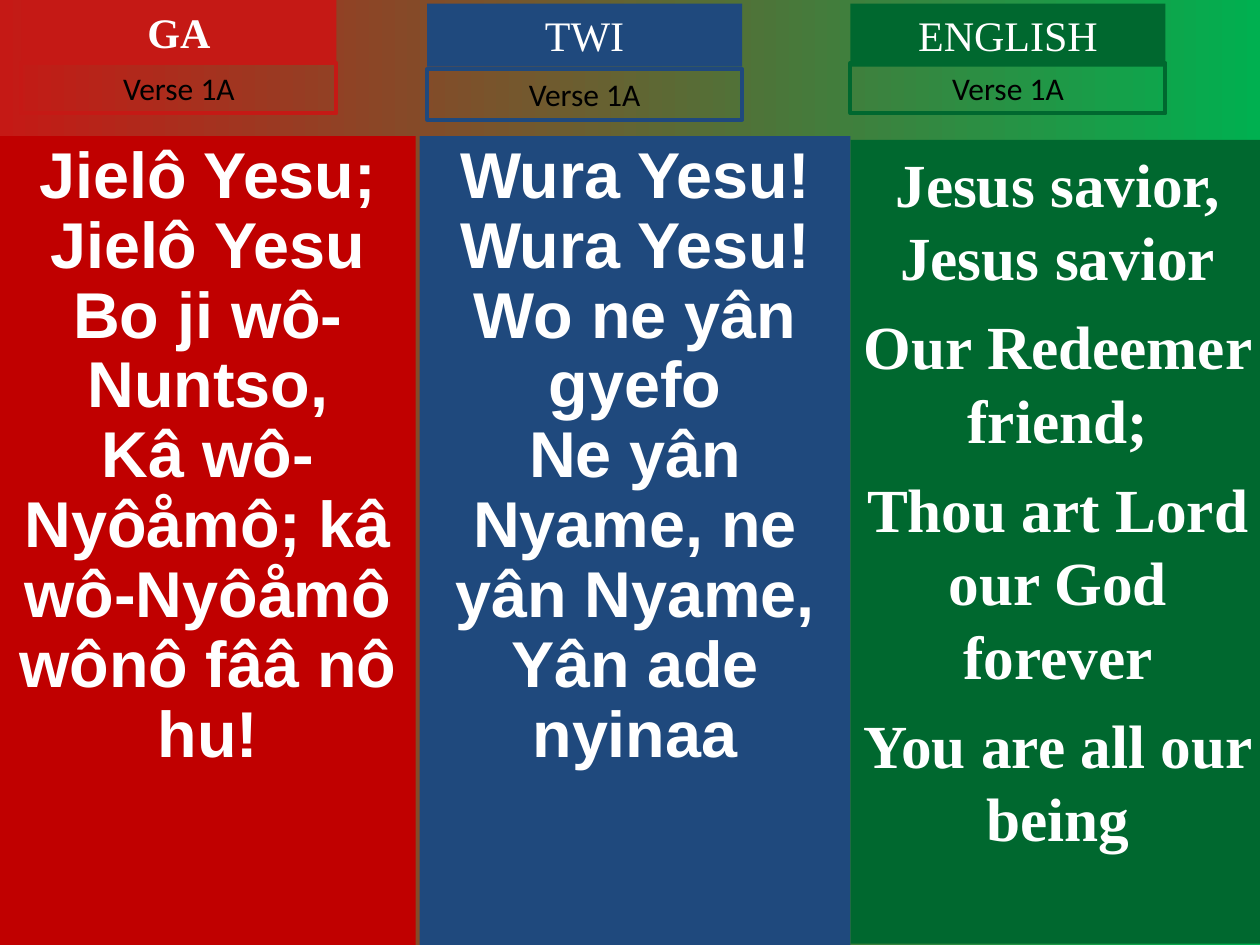
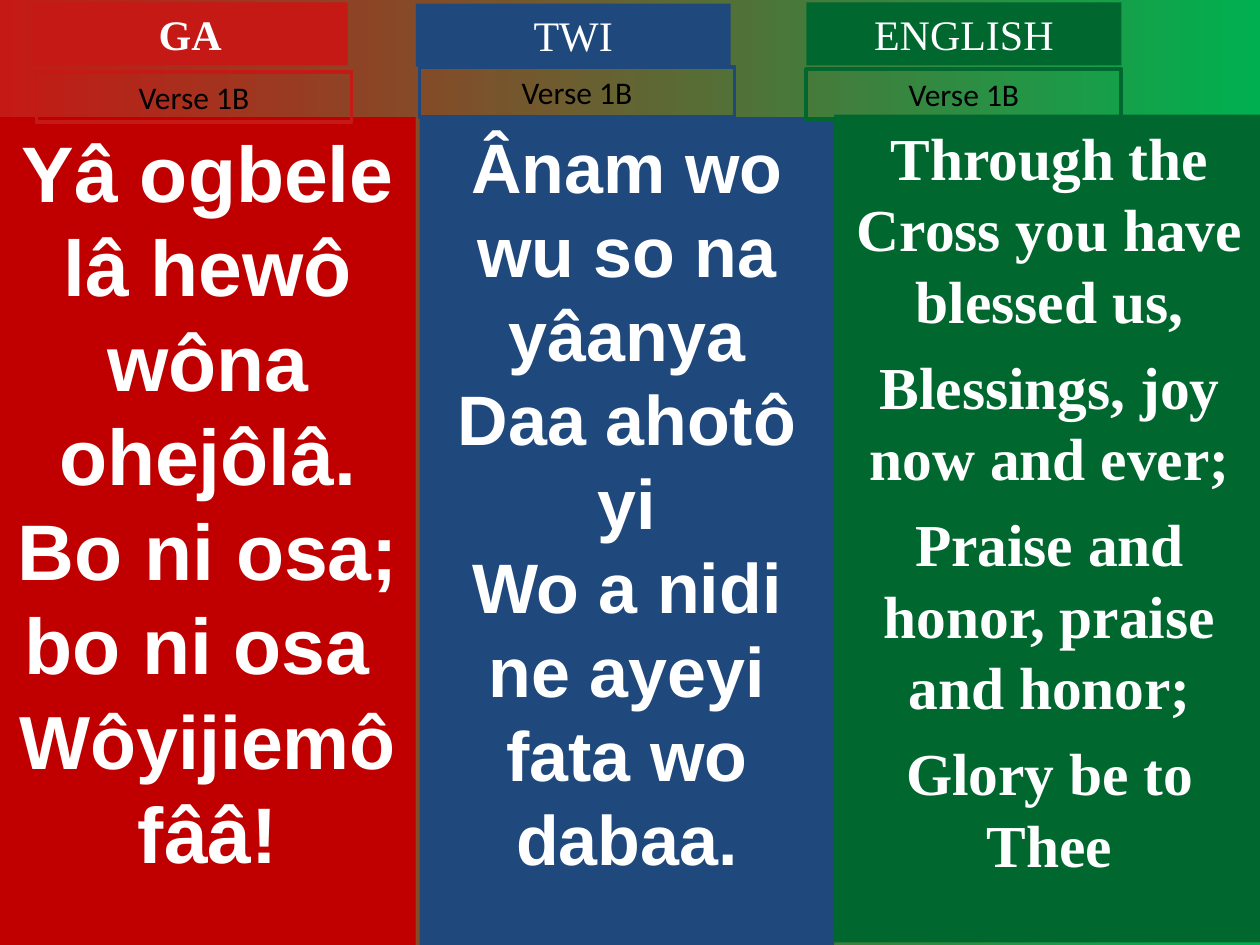
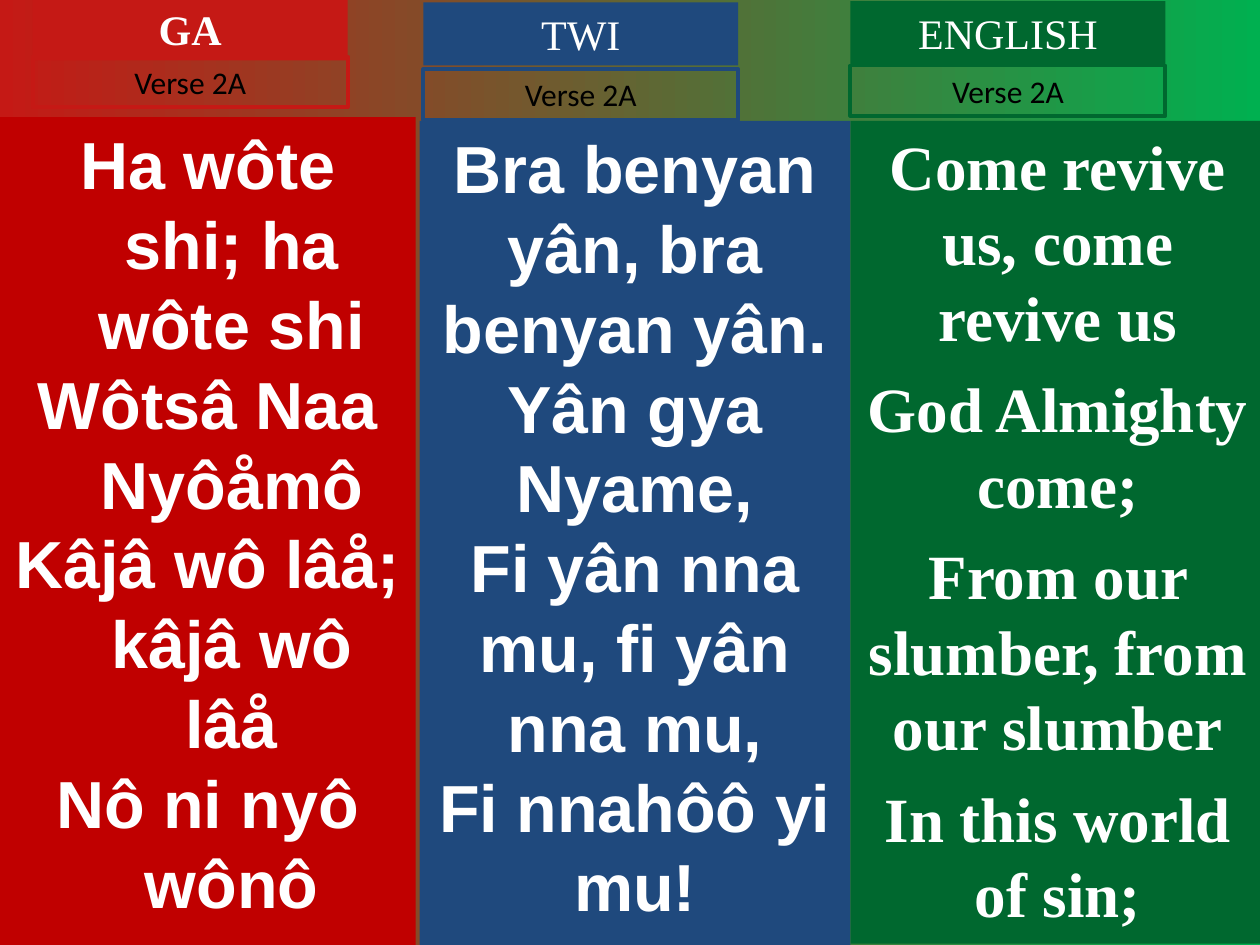
from collections import namedtuple

from pptx import Presentation
from pptx.dml.color import RGBColor
from pptx.enum.shapes import MSO_SHAPE
from pptx.enum.text import MSO_ANCHOR, PP_ALIGN
from pptx.util import Inches, Pt

RECTANGLE = MSO_SHAPE.RECTANGLE
TOP = MSO_ANCHOR.TOP
CENTER = PP_ALIGN.CENTER

WHITE = RGBColor(0xFF, 0xFF, 0xFF)
BLACK = RGBColor(0x00, 0x00, 0x00)
SCARLET = RGBColor(0xC5, 0x19, 0x15)
RED = RGBColor(0xC0, 0x00, 0x00)
BLUE = RGBColor(0x1F, 0x49, 0x7D)
GREEN = RGBColor(0x00, 0x68, 0x2F)
BRIGHT_GREEN = RGBColor(0x00, 0xB0, 0x50)

SERIF, SANS, LABEL = "Times New Roman", "Arial", "Calibri"

Language = namedtuple("Language", "name banner panel font bold")
GA = Language("GA", SCARLET, RED, SANS, True)
TWI = Language("TWI", BLUE, BLUE, SANS, False)
ENGLISH = Language("ENGLISH", GREEN, GREEN, SERIF, False)

Column = namedtuple("Column", "language heading verse panel lyrics style")

VERSES = {
    "Verse 1A": [
        Column(GA, (0.17, 0), (0.17, 0.5), (0, 1.08, 3.3, 6.42),
               ["Jielô Yesu; Jielô Yesu", "Bo ji wô-Nuntso,",
                "Kâ wô-Nyôåmô; kâ wô-Nyôåmô", "wônô fââ nô hu!"],
               dict(size=37, line_spacing=0.9)),
        Column(TWI, (3.39, 0.03), (3.39, 0.55), (3.33, 1.08, 3.42, 6.42),
               ["Wura Yesu! Wura Yesu!", "Wo ne yân gyefo",
                "Ne yân Nyame, ne yân Nyame,", "Yân ade nyinaa"],
               dict(size=37, line_spacing=0.9)),
        Column(ENGLISH, (6.75, 0.03), (6.75, 0.5), (6.75, 1.11, 3.29, 6.38),
               ["Jesus savior, Jesus savior", "Our Redeemer friend;",
                "Thou art Lord our God forever", "You are all our being"],
               dict(size=35, space_before=8.8)),
    ],
    "Verse 1B": [
        Column(GA, (0.26, 0.02), (0.29, 0.57), (0, 0.93, 3.3, 6.57),
               ["Yâ ogbele lâ hewô wôna ohejôlâ.", "Bo ni osa; bo ni osa ",
                [("Wôyijiemô", 43), (" fââ!", 45)]],
               dict(size=45)),
        Column(TWI, (3.3, 0.03), (3.33, 0.53), (3.33, 0.93, 3.29, 6.57),
               ["Ânam wo wu so na yâanya", "Daa ahotô yi",
                "Wo a nidi ne ayeyi fata wo dabaa."],
               dict(size=40)),
        Column(ENGLISH, (6.4, 0.02), (6.4, 0.55), (6.62, 0.91, 3.42, 6.57),
               ["Through the Cross you have blessed us,",
                "Blessings, joy now and ever;",
                "Praise and honor, praise and honor;", "Glory be to Thee"],
               dict(size=34, space_before=8.5)),
    ],
    "Verse 2A": [
        Column(GA, (0.26, -0.02), (0.26, 0.45), (0, 0.93, 3.3, 6.57),
               ["Ha wôte shi; ha wôte shi", "Wôtsâ Naa Nyôåmô",
                "Kâjâ wô lâå; kâjâ wô lâå", "Nô ni nyô wônô"],
               dict(size=38, hanging=0.38)),
        Column(TWI, (3.36, 0.02), (3.36, 0.55), (3.33, 0.96, 3.42, 6.54),
               ["Bra benyan yân, bra benyan yân.", "Yân gya Nyame,",
                "Fi yân nna mu, fi yân nna mu,", "Fi nnahôô yi mu!"],
               dict(size=38)),
        Column(ENGLISH, (6.75, 0.01), (6.75, 0.52), (6.75, 0.96, 3.29, 6.53),
               ["Come revive us, come revive us", "God Almighty come;",
                "From our slumber, from our slumber", "In this world of sin;"],
               dict(size=36, space_before=9)),
    ],
}


def write(frame, lines, size, font, color, bold=False, line_spacing=None,
          space_before=0, hanging=0):
    """Fill a text frame with centred lines, each a string or (text, size) runs."""
    frame.word_wrap = True
    frame.vertical_anchor = TOP
    for number, line in enumerate(lines):
        paragraph = frame.add_paragraph() if number else frame.paragraphs[0]
        paragraph.alignment = CENTER
        if line_spacing:
            paragraph.line_spacing = line_spacing
        if number and space_before:
            paragraph.space_before = Pt(space_before)
        if hanging:
            properties = paragraph._p.get_or_add_pPr()
            properties.set("marL", str(Inches(hanging)))
            properties.set("indent", str(-Inches(hanging)))
        for text, run_size in [(line, size)] if isinstance(line, str) else line:
            run = paragraph.add_run()
            run.text = text
            run.font.size = Pt(run_size)
            run.font.name = font
            run.font.bold = bold
            run.font.color.rgb = color


class Hymn:
    """Hymn deck with one column for each language."""

    def __init__(self):
        """Open an empty deck."""
        self.deck = Presentation()
        self.deck.slide_width = Inches(10)
        self.deck.slide_height = Inches(7.5)
        self.slide = None

    def new_slide(self):
        """Start a slide on the red to green background."""
        self.slide = self.deck.slides.add_slide(self.deck.slide_layouts[6])
        fill = self.slide.background.fill
        fill.gradient()
        fill.gradient_angle = 0
        for stop, color, position in zip(fill.gradient_stops,
                                         (SCARLET, BRIGHT_GREEN), (0, 1)):
            stop.color.rgb = color
            stop.position = position

    def box(self, place, fill=None, line=None):
        """Add a rectangle and return its text frame."""
        shape = self.slide.shapes.add_shape(RECTANGLE, *map(Inches, place))
        shape.shadow.inherit = False
        if fill:
            shape.fill.solid()
            shape.fill.fore_color.rgb = fill
        else:
            shape.fill.background()
        if line:
            shape.line.color.rgb = line
            shape.line.width = Pt(2.25)
        else:
            shape.line.fill.background()
        return shape.text_frame

    def panel(self, column):
        """Add the lyrics of one language."""
        write(self.box(column.panel, fill=column.language.panel), column.lyrics,
              font=column.language.font, color=WHITE, bold=True, **column.style)

    def heading(self, column):
        """Add the language name."""
        language = column.language
        write(self.box((*column.heading, 2.5, 0.5), fill=language.banner),
              [language.name], size=24, font=SERIF, color=WHITE,
              bold=language.bold)

    def verse_label(self, column, verse):
        """Add the outlined verse number."""
        write(self.box((*column.verse, 2.5, 0.4), line=column.language.banner),
              [verse], size=18, font=LABEL, color=BLACK)


def main():
    """Build and save the hymn."""
    hymn = Hymn()
    for verse, columns in VERSES.items():
        hymn.new_slide()
        for column in columns:
            hymn.panel(column)
            hymn.heading(column)
            hymn.verse_label(column, verse)
    hymn.deck.save("out.pptx")


if __name__ == "__main__":
    main()
